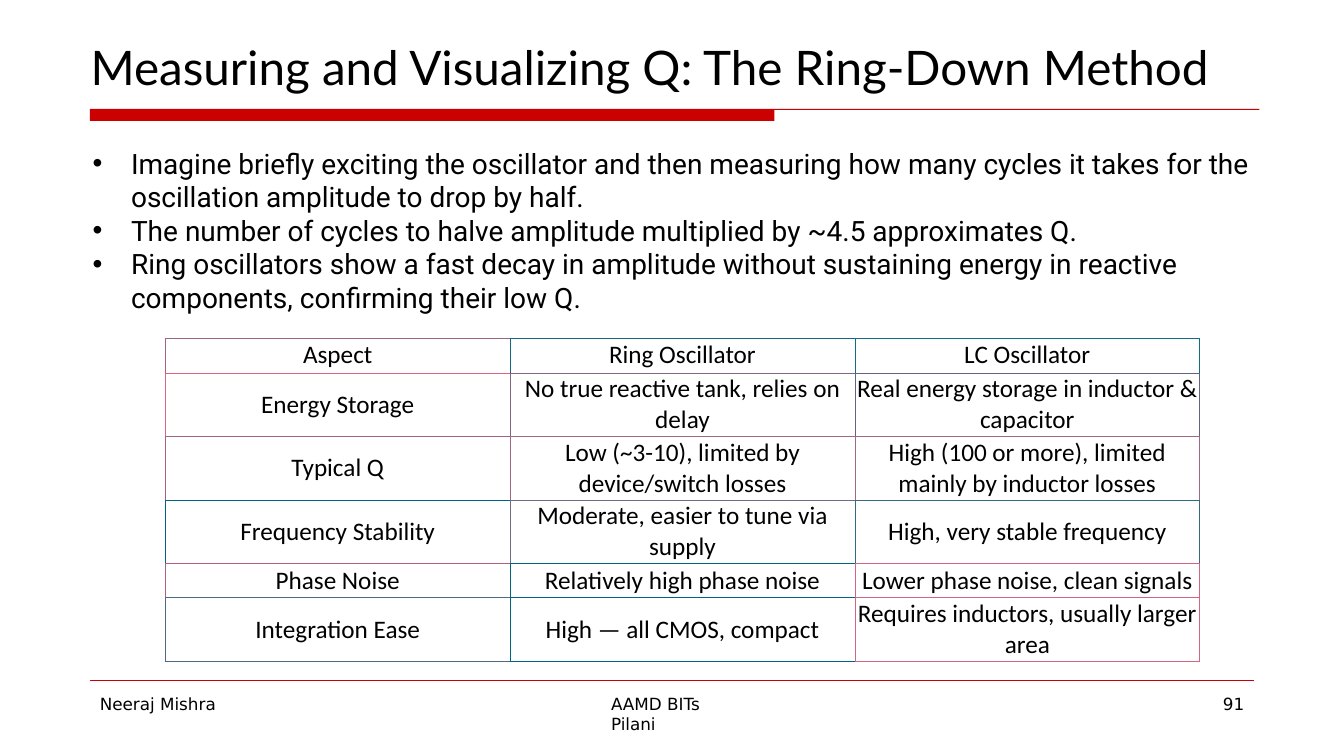
from lxml import etree
from pptx import Presentation
from pptx.dml.color import RGBColor
from pptx.enum.shapes import MSO_CONNECTOR
from pptx.enum.text import MSO_ANCHOR, MSO_AUTO_SIZE, PP_ALIGN
from pptx.oxml.ns import qn
from pptx.util import Inches, Pt

STRAIGHT = MSO_CONNECTOR.STRAIGHT
TOP, MIDDLE = MSO_ANCHOR.TOP, MSO_ANCHOR.MIDDLE
LEFT, CENTER = PP_ALIGN.LEFT, PP_ALIGN.CENTER
FIXED = MSO_AUTO_SIZE.NONE
WIDTH, HEIGHT = Inches(13.33), Inches(7.5)
RED, BLACK = "CB0000", "000000"

TITLE_FONT = {"name": "Lato", "size": Pt(34), "bold": False}
BODY_FONT = {"name": "Roboto", "size": Pt(20), "bold": False}
FOOTER_FONT = {"name": "DejaVu Sans", "size": Pt(12), "bold": False}
TABLE_FONT = {"name": "Calibri", "size": Pt(18), "bold": False}
PLAIN = {"alignment": LEFT, "space_before": Pt(0), "space_after": Pt(0), "line_spacing": 1.0}
CENTERED = {**PLAIN, "alignment": CENTER}

TITLE = "Measuring and Visualizing Q: The Ring-Down Method"
POINTS = [
    "Imagine briefly exciting the oscillator and then measuring how many cycles it takes "
    "for the oscillation amplitude to drop by half.",
    "The number of cycles to halve amplitude multiplied by ~4.5 approximates Q.",
    "Ring oscillators show a fast decay in amplitude without sustaining energy in reactive "
    "components, confirming their low Q.",
]
COMPARISON = [
    ("Aspect", "Ring Oscillator", "LC Oscillator"),
    ("Energy Storage", "No true reactive tank, relies on delay",
     "Real energy storage in inductor & capacitor"),
    ("Typical Q", "Low (~3-10), limited by device/switch losses",
     "High (100 or more), limited mainly by inductor losses"),
    ("Frequency Stability", "Moderate, easier to tune via supply",
     "High, very stable frequency"),
    ("Phase Noise", "Relatively high phase noise", "Lower phase noise, clean signals"),
    ("Integration Ease", "High — all CMOS, compact", "Requires inductors, usually larger area"),
]
CELL_COLORS = [
    ("A06482", "106882", "106D82"),
    ("E06582", "806682", "606382"),
    ("A06482", "A06982", "A06982"),
    ("006482", "706C82", "306B82"),
    ("B05E82", "006482", "D06682"),
    ("506982", "006482", "D06682"),
]
ROW_SHARES = [4.53, 8.4, 8.4, 8.4, 4.53, 8.4]
FOOTERS = [
    ("Neeraj Mishra", 7.35, 8.93, 0.01),
    ("AAMD BITs Pilani", 45.39, 9.3, 0.01),
    ("91", 89.87, 3.15, 0.15),
]


def across(share):
    return round(WIDTH * share / 100)


def down(share):
    return round(HEIGHT * share / 100)


def area(left, top, width, height):
    return across(left), down(top), across(width), down(height)


def color(value):
    return RGBColor.from_string(value)


def apply(target, values):
    for name, value in values.items():
        setattr(target, name, value)


def place(shape, bounds):
    apply(shape, dict(zip(("left", "top", "width", "height"), bounds)))


def indent(para, margin, first):
    properties = para._p.get_or_add_pPr()
    properties.set("marL", str(Inches(margin)))
    properties.set("indent", str(Inches(first)))
    return properties


def add_bullet(para):
    properties = indent(para, 0.38, -0.38)
    etree.SubElement(properties, qn("a:buFont"), typeface="Arial")
    etree.SubElement(properties, qn("a:buChar"), char="•")


def write(frame, lines, font, layout=PLAIN, bulleted=False):
    for index, line in enumerate(lines):
        para = frame.paragraphs[0] if index == 0 else frame.add_paragraph()
        if bulleted:
            add_bullet(para)
        apply(para, layout)
        span = para.add_run()
        span.text = line
        apply(span.font, font)
        span.font.color.rgb = color(BLACK)


def prepare(frame):
    apply(frame, {"word_wrap": True, "auto_size": FIXED, "vertical_anchor": TOP,
                  "margin_left": 0, "margin_top": 0, "margin_right": 0, "margin_bottom": 0})


def fill_placeholder(shape, bounds, lines, font, bulleted=False):
    place(shape, bounds)
    prepare(shape.text_frame)
    write(shape.text_frame, lines, font, bulleted=bulleted)


def add_title_rule(page):
    left, step, right = 6.68, 57.61, 93.7
    top, thin, thick = 14.4, 14.53, 16
    outline = [(left, thick), (step, thick), (step, thin), (right, thin), (right, top)]
    builder = page.shapes.build_freeform(across(left), down(top))
    builder.add_line_segments([(across(x), down(y)) for x, y in outline], close=True)
    rule = builder.convert_to_shape()
    rule.shadow.inherit = False
    rule.fill.solid()
    rule.fill.fore_color.rgb = color(RED)
    rule.line.fill.background()


def add_footer_rule(page):
    rule = page.shapes.add_connector(STRAIGHT, across(6.68), down(90.67 - 0.67),
                                     across(93.32), down(90))
    rule.line.width = Pt(0.25)
    rule.line.color.rgb = color(RED)
    etree.SubElement(rule._element.spPr, qn("a:effectLst"))


def add_footer(page, text, left, width, margin):
    box = page.shapes.add_textbox(*area(left, 91.73, width, 3.07))
    prepare(box.text_frame)
    write(box.text_frame, [text], FOOTER_FONT)
    indent(box.text_frame.paragraphs[0], margin, 0)


def add_borders(cell, own, right, below):
    properties = cell._tc.get_or_add_tcPr()
    for index, (side, value) in enumerate(
            (("lnL", own), ("lnR", right), ("lnT", own), ("lnB", below))):
        line = etree.Element(qn(f"a:{side}"), w=str(Pt(0.5)))
        fill = etree.SubElement(line, qn("a:solidFill"))
        etree.SubElement(fill, qn("a:srgbClr"), val=value)
        properties.insert(index, line)


def add_comparison(page):
    rows, columns = len(COMPARISON), len(COMPARISON[0])
    bounds = area(12.3, 44.8, 76.97, sum(ROW_SHARES))
    table = page.shapes.add_table(rows, columns, *bounds).table
    apply(table, {"first_row": False, "horz_banding": False})
    for r, texts in enumerate(COMPARISON):
        table.rows[r].height = down(ROW_SHARES[r])
        for c, text in enumerate(texts):
            cell = table.cell(r, c)
            margin = Inches(0.01)
            apply(cell, {"margin_left": margin, "margin_right": margin, "margin_top": margin,
                         "margin_bottom": margin, "vertical_anchor": MIDDLE if r else TOP})
            cell.fill.background()
            right = CELL_COLORS[r][min(c + 1, columns - 1)]
            below = CELL_COLORS[min(r + 1, rows - 1)][c]
            add_borders(cell, CELL_COLORS[r][c], right, below)
            write(cell.text_frame, [text], TABLE_FONT, CENTERED)


def main():
    deck = Presentation()
    apply(deck, {"slide_width": WIDTH, "slide_height": HEIGHT})
    page = deck.slides.add_slide(deck.slide_layouts[1])
    add_title_rule(page)
    add_footer_rule(page)
    fill_placeholder(page.shapes.title, area(6.75, 5.07, 86.87, 7.6), [TITLE], TITLE_FONT)
    fill_placeholder(page.placeholders[1], area(6.9, 19.33, 86.72, 26.93), POINTS, BODY_FONT,
                     bulleted=True)
    for footer in FOOTERS:
        add_footer(page, *footer)
    add_comparison(page)
    deck.save("out.pptx")


if __name__ == "__main__":
    main()
